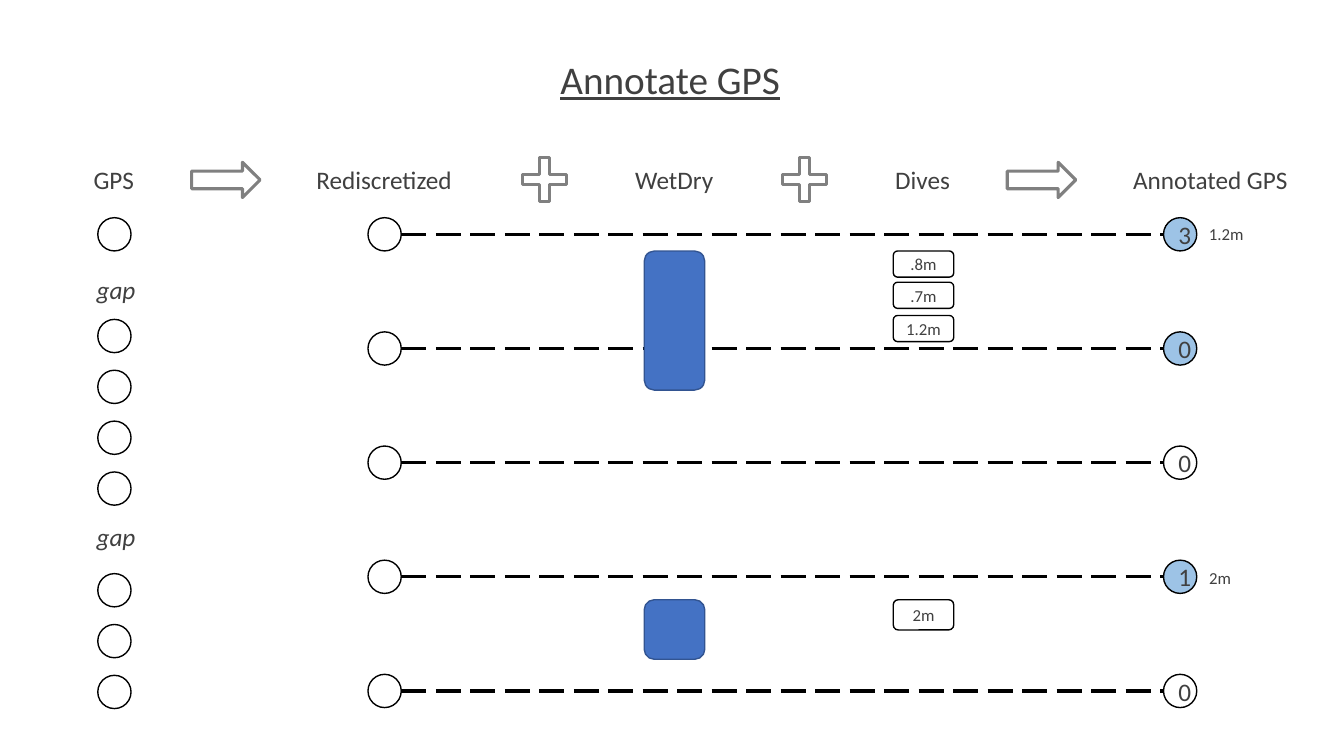
from lxml import etree
from pptx import Presentation
from pptx import util as u
from pptx.dml.color import RGBColor
from pptx.enum import dml, shapes, text
from pptx.oxml.ns import qn

WHITE, BLACK, GRAY, INK = "FFFFFF", "000000", "808080", "404040"
WET, WET_EDGE, ANNOTATED = "4472C4", "325491", "9DC3E6"
KIND = shapes.MSO_SHAPE

# Headings: text, left, width
HEADINGS = [("GPS", 0.83, 0.61), ("Rediscretized", 3.04, 1.56), ("WetDry", 6.2, 0.99),
            ("Dives", 8.78, 0.75), ("Annotated GPS", 11.14, 1.75)]
ARROW_LEFTS = [1.9, 9.99]
PLUS_LEFTS = [5.18, 7.76]
GPS_SLOTS = [0, 2, 3, 4, 5, 7, 8, 9]
GAP_TOPS = [2.67, 5.12]
# Rows: dive count, fill
ROWS = [("3", ANNOTATED), ("0", ANNOTATED), ("0", WHITE), ("1", ANNOTATED), ("0", WHITE)]
# Wet periods: top, height
WET_PERIODS = [(5.95, 0.59), (2.49, 1.38)]
# Dives and deepest-dive notes: text, top, height
DIVES = [(".8m", 2.49, 0.26), (".7m", 2.8, 0.26), ("1.2m", 3.13, 0.26), ("2m", 5.95, 0.3)]
DEEPEST = [("1.2m", 2.19, 0.26), ("2m", 5.58, 0.3)]

DOT, BLOCK = 0.33, 0.6
GPS_LEFT, START_LEFT, WET_LEFT, DIVE_LEFT, END_LEFT, NOTE_LEFT = 0.97, 3.65, 6.39, 8.86, 11.54, 11.88
FIRST_TOP = 2.16
SLOT_STEP = (6.7 - FIRST_TOP) / 9
ROW_STEP = (6.69 - FIRST_TOP) / 4

presentation = Presentation()
presentation.slide_width, presentation.slide_height = u.Inches(13.33), u.Inches(7.5)
slide = presentation.slides.add_slide(presentation.slide_layouts[6])


def color(value):
    """Turn a hex string into a colour."""
    return RGBColor.from_string(value)


def write(frame, words, size, align, **formats):
    """Write one formatted paragraph in a text frame."""
    paragraph = frame.paragraphs[0]
    paragraph.alignment = align
    run = paragraph.add_run()
    run.text = words
    run.font.color.rgb = color(INK)
    for name, value in {"name": "Calibri", "size": u.Pt(size), **formats}.items():
        setattr(run.font, name, value)


def add_label(words, left, top, width, height=0.4, size=18, **formats):
    """Add a one-line text box."""
    frame = slide.shapes.add_textbox(*map(u.Inches, (left, top, width, height))).text_frame
    frame.word_wrap = False
    frame.auto_size = text.MSO_AUTO_SIZE.SHAPE_TO_FIT_TEXT
    write(frame, words, size, text.PP_ALIGN.LEFT, **formats)


def add_shape(kind, left, top, width, height, fill=WHITE, line=BLACK, weight=1,
              words="", size=12, align=text.PP_ALIGN.CENTER):
    """Add a preset shape; None for fill or line leaves it out."""
    shape = slide.shapes.add_shape(kind, *map(u.Inches, (left, top, width, height)))
    shape.shadow.inherit = False
    for part, value in ((shape.fill, fill), (shape.line.fill, line)):
        if value:
            part.solid()
            part.fore_color.rgb = color(value)
        else:
            part.background()
    if line:
        shape.line.width = u.Pt(weight)
    if words:
        shape.text_frame.vertical_anchor = text.MSO_ANCHOR.MIDDLE
        write(shape.text_frame, words, size, align)
    return shape


def add_dashed_line(left, right, level):
    """Add a horizontal dashed line."""
    connector = slide.shapes.add_connector(
        shapes.MSO_CONNECTOR.STRAIGHT, *map(u.Inches, (left, level, right, level)))
    connector.line.color.rgb = color(BLACK)
    connector.line.width = u.Pt(2.25)
    connector.line.dash_style = dml.MSO_LINE.LONG_DASH
    etree.SubElement(connector._element.spPr, qn("a:effectLst"))


add_label("Annotate GPS", 5.46, 0.5, 2.4, 0.57, size=28, underline=True)
for words, left, width in HEADINGS:
    add_label(words, left, 1.58, width)
for left in ARROW_LEFTS:
    add_shape(KIND.RIGHT_ARROW, left, 1.61, 0.68, 0.35, line=GRAY, weight=2.25)
for left in PLUS_LEFTS:
    plus = add_shape(KIND.CROSS, left, 1.56, 0.44, 0.44, line=GRAY, weight=2.25)
    plus.adjustments[0] = 0.39

for slot in GPS_SLOTS:
    add_shape(KIND.OVAL, GPS_LEFT, FIRST_TOP + slot * SLOT_STEP, DOT, DOT)
for top in GAP_TOPS:
    add_label("gap", 0.86, top, 0.59, italic=True)

for row, (count, fill) in enumerate(ROWS):
    top = FIRST_TOP + row * ROW_STEP
    add_shape(KIND.OVAL, START_LEFT, top, DOT, DOT)
    add_dashed_line(START_LEFT + DOT, END_LEFT, top + DOT / 2)
    add_shape(KIND.OVAL, END_LEFT, top, DOT, DOT, fill, words=count, size=18)

for top, height in WET_PERIODS:
    add_shape(KIND.ROUNDED_RECTANGLE, WET_LEFT, top, BLOCK, height, WET, WET_EDGE)
for words, top, height in DIVES:
    add_shape(KIND.ROUNDED_RECTANGLE, DIVE_LEFT, top, BLOCK, height, words=words)
for words, top, height in DEEPEST:
    add_shape(KIND.ROUNDED_RECTANGLE, NOTE_LEFT, top, BLOCK, height, None, None,
              words=words, align=text.PP_ALIGN.LEFT)

presentation.save("out.pptx")
